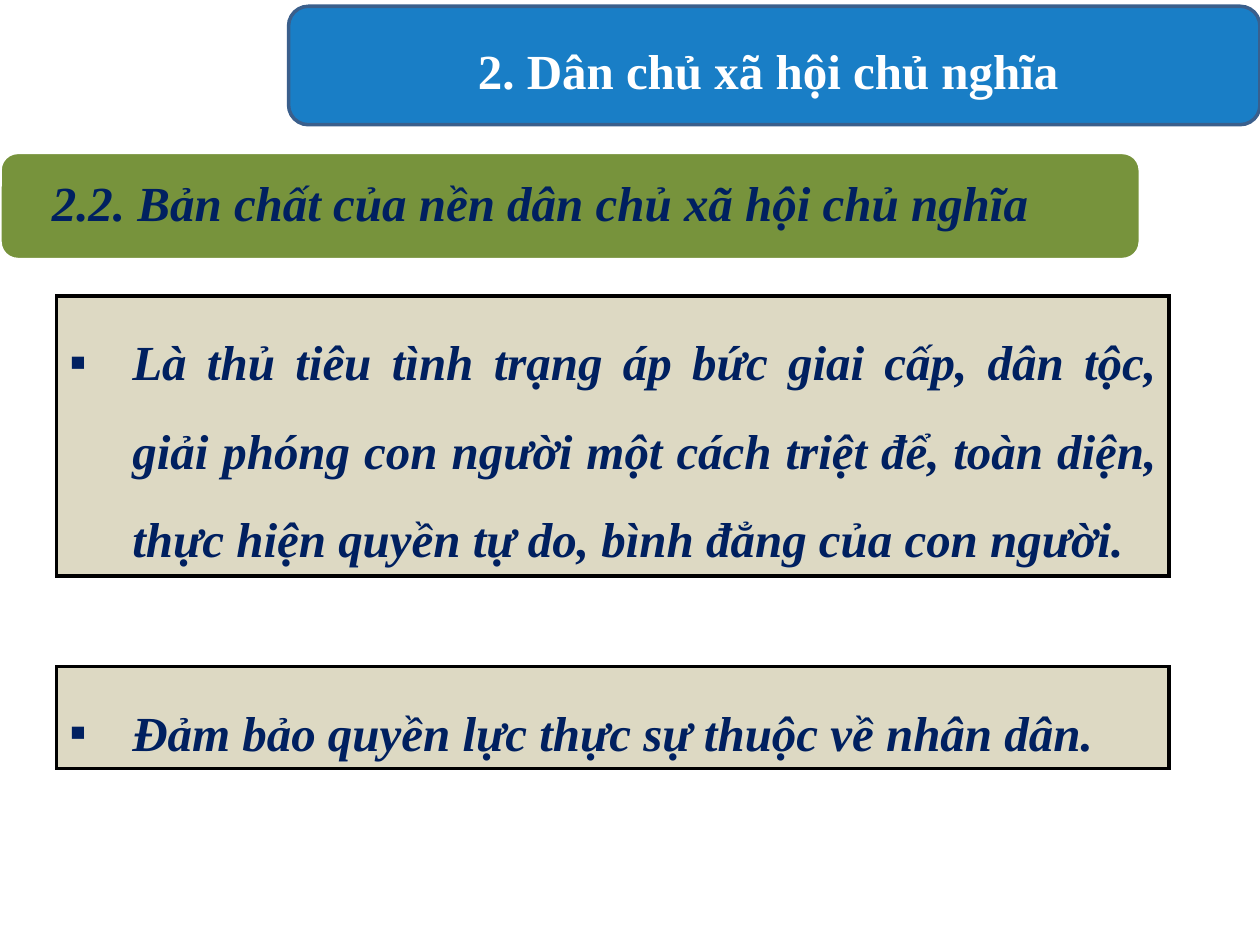
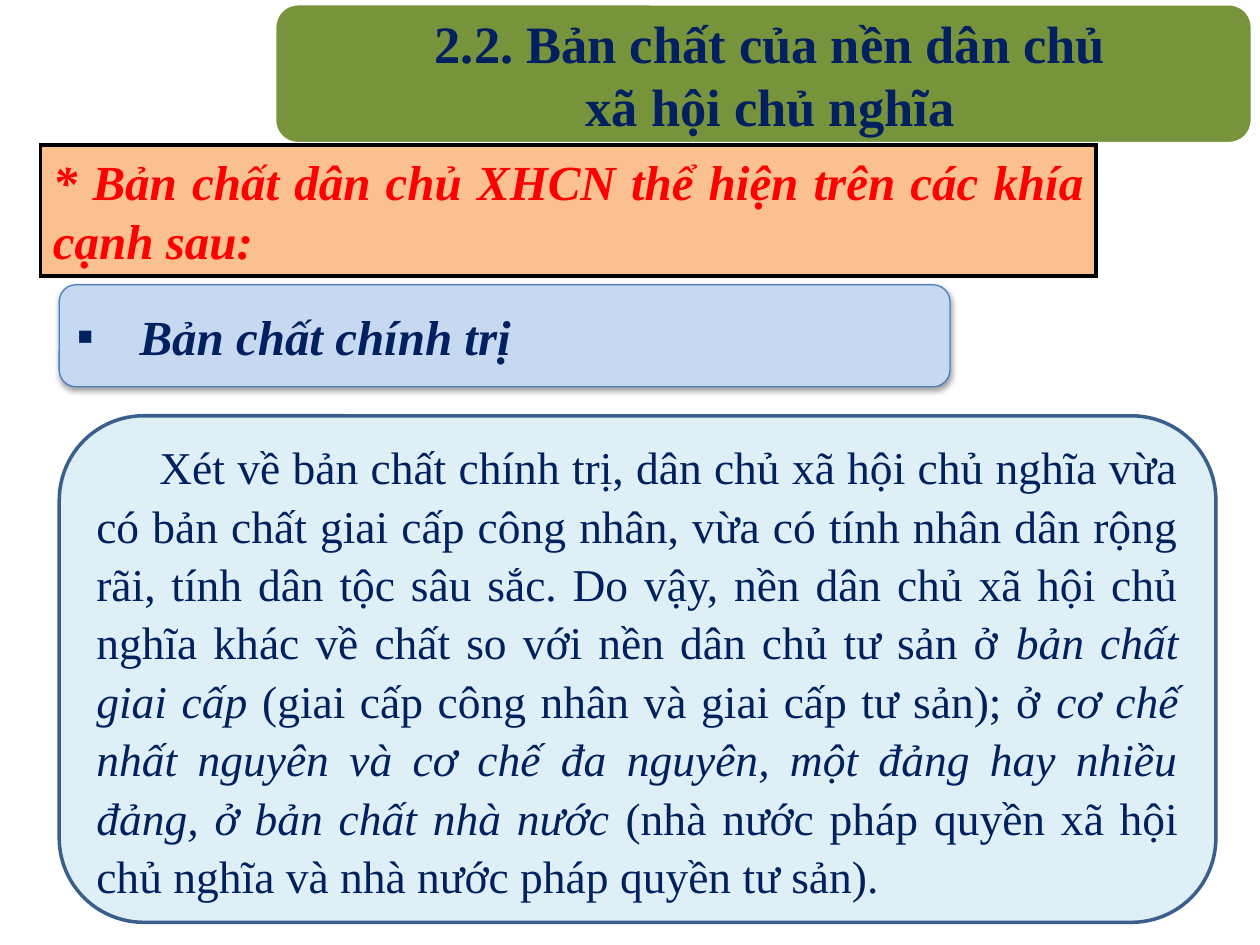
from lxml import etree
from pptx import Presentation
from pptx import util as u
from pptx.dml.color import RGBColor
from pptx.enum import shapes, text
from pptx.oxml import parse_xml
from pptx.oxml.ns import nsdecls, qn

COLORS = {
    "blue": "0070C0", "blue_edge": "3A5F8C", "green": "77933C", "white": "FFFFFF",
    "navy": "002060", "sand": "DDD9C3", "black": "000000", "orange": "FAC090",
    "red": "FF0000", "sky": "C6D9F1", "sky_edge": "4B7EBC", "ice": "DBEEF4",
}
FONT = "Times New Roman"
CENTER, JUSTIFY = text.PP_ALIGN.CENTER, text.PP_ALIGN.JUSTIFY
TOP, MIDDLE = text.MSO_ANCHOR.TOP, text.MSO_ANCHOR.MIDDLE


def paint(box, fill, edge, width=2, alpha=100):
    box.fill.solid()
    box.fill.fore_color.rgb = RGBColor.from_string(COLORS[fill])
    box.line.color.rgb = RGBColor.from_string(COLORS[edge])
    box.line.width = u.Pt(width)
    properties = box._element.spPr
    etree.SubElement(properties.find(qn("a:ln")), qn("a:miter")).set("lim", "800000")
    if alpha < 100:
        color = properties.find(qn("a:solidFill"))[0]
        etree.SubElement(color, qn("a:alpha")).set("val", str(alpha * 1000))


def write(box, paragraphs, font, align, anchor=MIDDLE, insets=(0.1, 0.05, 0.1, 0.05),
          spacing=1.0, bullet=None, indent=0):
    frame = box.text_frame
    frame.word_wrap = True
    frame.auto_size = text.MSO_AUTO_SIZE.NONE
    frame.vertical_anchor = anchor
    for side, inset in zip(("left", "top", "right", "bottom"), insets):
        setattr(frame, f"margin_{side}", u.Inches(inset))
    for number, spans in enumerate(paragraphs):
        para = frame.add_paragraph() if number else frame.paragraphs[0]
        layout = {"alignment": align, "line_spacing": spacing,
                  "space_before": u.Pt(0), "space_after": u.Pt(0)}
        for name, value in layout.items():
            setattr(para, name, value)
        properties = para._p.get_or_add_pPr()
        properties.set("marL", str(u.Inches(0.5) if bullet else 0))
        properties.set("indent", str(u.Inches(-0.5 if bullet else indent)))
        if bullet:
            etree.SubElement(properties, qn("a:buFont")).set("typeface", "Arial")
            etree.SubElement(properties, qn("a:buChar")).set("char", bullet)
        else:
            etree.SubElement(properties, qn("a:buNone"))
        for words, changes in spans:
            span = para.add_run()
            span.text = words
            values = {"name": FONT, "bold": False, "italic": False, **font, **changes}
            span.font.color.rgb = RGBColor.from_string(COLORS[values.pop("color")])
            for name, value in values.items():
                setattr(span.font, name, value)


deck = Presentation()
deck.slide_width, deck.slide_height = u.Inches(10), u.Inches(7.5)

emphasis = {"size": u.Pt(28), "color": "navy", "bold": True, "italic": True}
headings = [
    {"layout": 3, "at": (2.29, 0.05, 7.71, 0.94), "paint": ("blue", "blue_edge", 2, 90),
     "lines": ["2. Dân chủ xã hội chủ nghĩa "], "size": 28, "color": "white",
     "insets": (0.1, 0.12, 0.1, 0.05)},
    {"layout": 1, "at": (2.18, 0.03, 7.76, 1.11), "paint": ("green", "white"),
     "lines": ["2.2. Bản chất của nền dân chủ ", "xã hội chủ nghĩa "], "size": 30,
     "color": "navy", "insets": (0.39, 0, 0.18, 0)},
]
pages = []
for heading in headings:
    page = deck.slides.add_slide(deck.slide_layouts[heading["layout"]])
    place = [u.Inches(value) for value in heading["at"]]
    band = page.shapes.add_shape(shapes.MSO_SHAPE.ROUNDED_RECTANGLE, *place)
    band.shadow.inherit = False
    paint(band, *heading["paint"])
    title = page.shapes.title
    title._element.addprevious(band._element)
    title.left, title.top, title.width, title.height = place
    write(title, [[(line, {})] for line in heading["lines"]],
          {"size": u.Pt(heading["size"]), "color": heading["color"], "bold": True},
          CENTER, insets=heading["insets"])
    pages.append(page)
nature_page, politics_page = pages

bullet_style = {"bullet": "▪", "spacing": 1.5}
panels = [
    (nature_page, 1, (0.45, 2.35, 8.83, 2.22), "sand", "navy", bullet_style,
     "Là thủ tiêu tình trạng áp bức giai cấp, dân tộc, giải phóng con người một cách "
     "triệt để, toàn diện, thực hiện quyền tự do, bình đẳng của con người."),
    (nature_page, 2, (0.45, 5.29, 8.83, 0.81), "sand", "navy", bullet_style,
     "Đảm bảo quyền lực thực sự thuộc về nhân dân."),
    (politics_page, 1, (0.32, 1.15, 8.38, 1.04), "orange", "red", {},
     "* Bản chất dân chủ XHCN thể hiện trên các khía cạnh sau: "),
]
for page, index, place, fill, color, style, words in panels:
    panel = page.placeholders[index]
    panel.left, panel.top, panel.width, panel.height = [u.Inches(v) for v in place]
    paint(panel, fill, "black")
    write(panel, [[(words, {})]], {**emphasis, "color": color}, JUSTIFY, TOP, **style)

italic = {"italic": True}
explanation = [
    ("Xét về bản chất chính trị, dân chủ xã hội chủ nghĩa vừa có bản chất giai cấp công "
     "nhân, vừa có tính nhân dân rộng rãi, tính dân tộc sâu sắc. Do vậy, nền dân chủ xã "
     "hội chủ nghĩa khác về chất so với nền dân chủ tư sản ở ", {}),
    ("bản chất giai cấp", italic),
    (" (giai cấp công nhân và giai cấp tư sản); ở ", {}),
    ("cơ chế nhất nguyên và cơ chế đa nguyên, một đảng hay nhiều đảng, ở bản chất nhà nước",
     italic),
    (" (nhà nước pháp quyền xã hội chủ nghĩa và nhà nước pháp quyền tư sản).", {}),
]
cards = [
    (nature_page, (0, 1.21, 9.05, 0.85), ("green", "white"),
     [("2.2. Bản chất của nền dân chủ xã hội chủ nghĩa", {})], emphasis,
     {"align": text.PP_ALIGN.LEFT, "spacing": 0.9, "insets": (0.37, 0, 0.1, 0)}),
    (politics_page, (0.47, 2.26, 7.07, 0.81), ("sky", "sky_edge", 0.75),
     [("Bản chất chính trị", {})], emphasis, {"align": JUSTIFY, "bullet": "▪"}),
    (politics_page, (0.47, 3.3, 9.18, 4.02), ("ice", "blue_edge", 2, 90),
     explanation, {"size": u.Pt(26), "color": "navy"},
     {"align": JUSTIFY, "spacing": 1.07, "indent": 0.5}),
]
for page, place, colors, spans, font, style in cards:
    card = page.shapes.add_shape(shapes.MSO_SHAPE.ROUNDED_RECTANGLE,
                                 *[u.Inches(value) for value in place])
    card.shadow.inherit = False
    paint(card, *colors)
    write(card, [spans], font, **style)
    if colors[0] == "sky":
        effects = card._element.spPr.find(qn("a:effectLst"))
        effects.append(parse_xml(
            f'<a:outerShdw {nsdecls("a")} blurRad="{u.Pt(3.1)}" dist="{u.Pt(1.6)}" '
            f'dir="5400000" rotWithShape="0"><a:srgbClr val="{COLORS["black"]}">'
            '<a:alpha val="38000"/></a:srgbClr></a:outerShdw>'))

deck.save("out.pptx")
